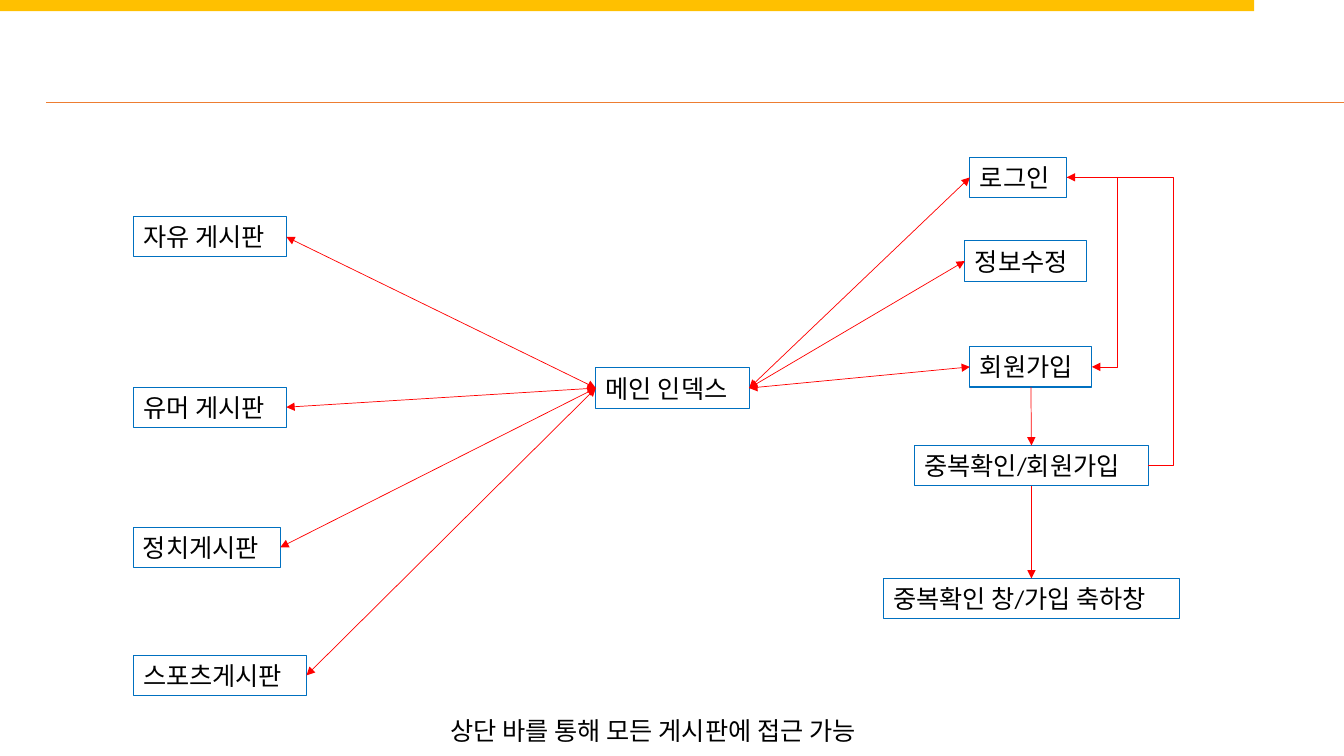
"""Build a site map slide of message boards and member pages."""
from lxml import etree
from pptx import Presentation
from pptx.dml.color import RGBColor
from pptx.enum import shapes, text
from pptx.oxml import ns
from pptx.util import Inches, Pt

COLORS = {"bar": "FFC000", "rule": "ED7D31", "border": "0070C0", "arrow": "FF0000", "text": "000000"}
FONT = "Calibri"
BOX_HEIGHT = 0.4
TOP, LEFT, BOTTOM, RIGHT = range(4)

MAIN = "메인 인덱스"
LOGIN = "로그인"
EDIT = "정보수정"
JOIN = "회원가입"
CHECK = "중복확인/회원가입"
RESULT = "중복확인 창/가입 축하창"
BOARDS = {
    "자유 게시판": (1.32, 2.15, 1.52),
    "유머 게시판": (1.32, 3.84, 1.52),
    "정치게시판": (1.32, 5.23, 1.46),
    "스포츠게시판": (1.32, 6.5, 1.72),
}
MEMBER_PAGES = {
    LOGIN: (9.62, 1.56, 0.96),
    EDIT: (9.57, 2.39, 1.21),
    JOIN: (9.62, 3.44, 1.21),
}
SIGNUP_STEPS = {CHECK: (9.07, 4.42, 2.32), RESULT: (8.76, 5.74, 2.94)}
PLACES = {MAIN: (5.91, 3.65, 1.52), **BOARDS, **MEMBER_PAGES, **SIGNUP_STEPS}
CAPTION = ("상단 바를 통해 모든 게시판에 접근 가능", (4.37, 7.05, 4.59))

TWO_WAY = [(MAIN, LEFT, board, RIGHT) for board in BOARDS]
TWO_WAY += [(MAIN, RIGHT, member, LEFT) for member in MEMBER_PAGES]
ONE_WAY = [(JOIN, BOTTOM, CHECK, TOP), (CHECK, BOTTOM, RESULT, TOP)]
ELBOWS = [(LOGIN, JOIN, 199000), (CHECK, LOGIN, -31000)]


def color(name):
    return RGBColor.from_string(COLORS[name])


def add_label(page, words, place):
    left, top, width = place
    box = page.shapes.add_textbox(Inches(left), Inches(top), Inches(width), Inches(BOX_HEIGHT))
    frame = box.text_frame
    frame.text = words
    frame.word_wrap = False
    frame.auto_size = text.MSO_AUTO_SIZE.SHAPE_TO_FIT_TEXT
    font = frame.paragraphs[0].font
    font.name, font.size = FONT, Pt(18)
    font.color.rgb = color("text")
    return box


def add_line(page, kind, start, end, name, ends=()):
    points = [Inches(value) for value in (*start, *end)]
    line = page.shapes.add_connector(kind, *points)
    line.line.color.rgb = color(name)
    line.line.width = Pt(0.5)
    for tag in ends:
        etree.SubElement(line.line._get_or_add_ln(), ns.qn(tag), type="triangle")
    etree.SubElement(line._element.spPr, ns.qn("a:effectLst"))
    return line


def right_middle(words):
    left, top, width = PLACES[words]
    return left + width, top + BOX_HEIGHT / 2


def main():
    deck = Presentation()
    deck.slide_width, deck.slide_height = Inches(13.33), Inches(7.5)
    page = deck.slides.add_slide(deck.slide_layouts[6])

    bar = page.shapes.add_shape(shapes.MSO_SHAPE.RECTANGLE, 0, 0, Inches(12.44), Inches(0.11))
    bar.shadow.inherit = False
    bar.fill.solid()
    bar.fill.fore_color.rgb = color("bar")
    bar.line.fill.background()
    straight = shapes.MSO_CONNECTOR.STRAIGHT
    add_line(page, straight, (0.46, 1.02), (13.33, 1.02), "rule")

    boxes = {}
    for words, place in PLACES.items():
        boxes[words] = add_label(page, words, place)
        boxes[words].line.color.rgb = color("border")
        boxes[words].line.width = Pt(0.75)

    for links, ends in ((TWO_WAY, ("a:headEnd", "a:tailEnd")), (ONE_WAY, ("a:tailEnd",))):
        for source, source_side, target, target_side in links:
            arrow = add_line(page, straight, (0, 0), (1, 1), "arrow", ends)
            arrow.begin_connect(boxes[source], source_side)
            arrow.end_connect(boxes[target], target_side)

    for source, target, bend in ELBOWS:
        arrow = add_line(page, shapes.MSO_CONNECTOR.ELBOW, right_middle(source),
                         right_middle(target), "arrow", ("a:tailEnd",))
        guides = arrow._element.spPr.find(ns.qn("a:prstGeom")).find(ns.qn("a:avLst"))
        etree.SubElement(guides, ns.qn("a:gd"), name="adj1", fmla=f"val {bend}")

    add_label(page, *CAPTION)
    deck.save("out.pptx")


if __name__ == "__main__":
    main()
